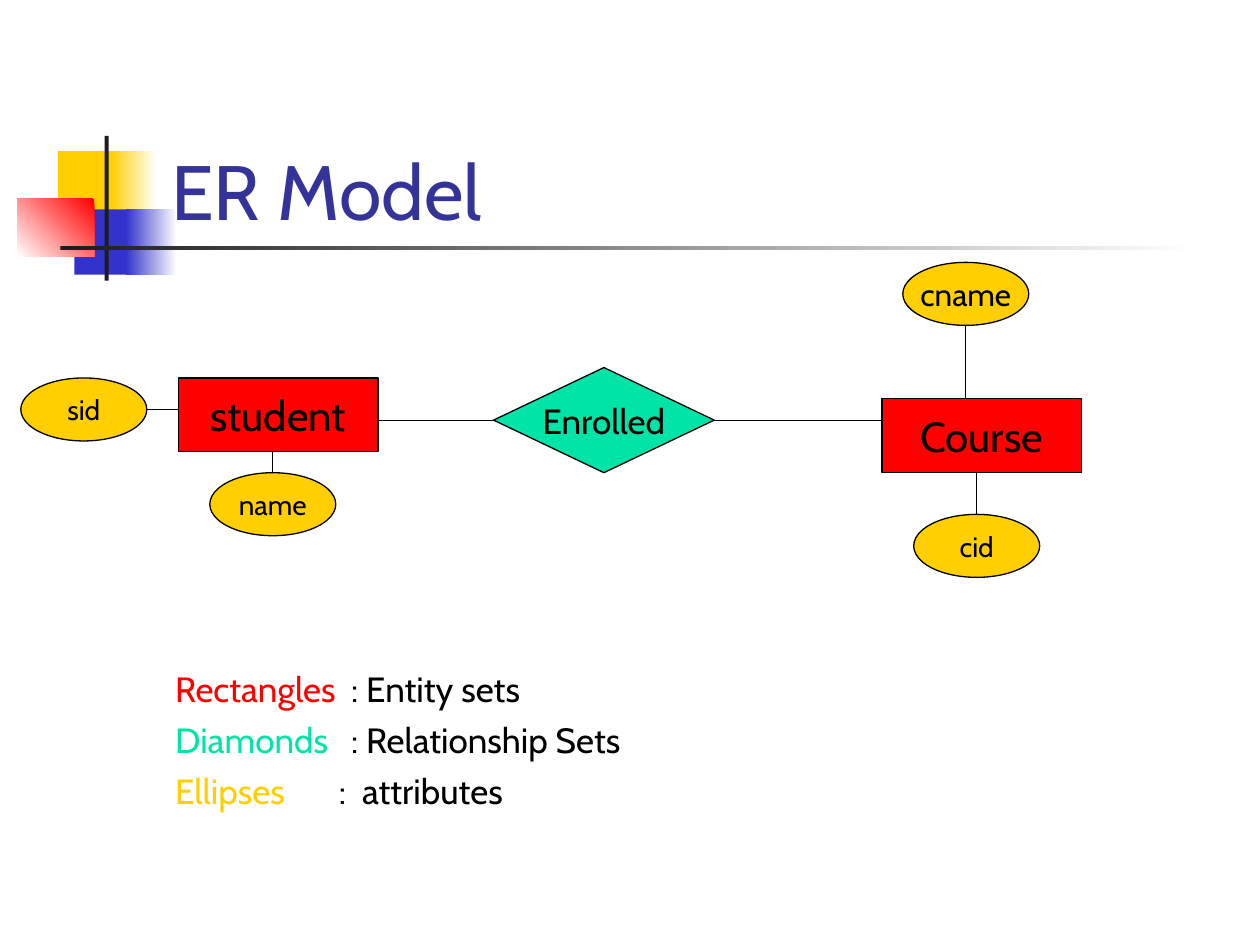
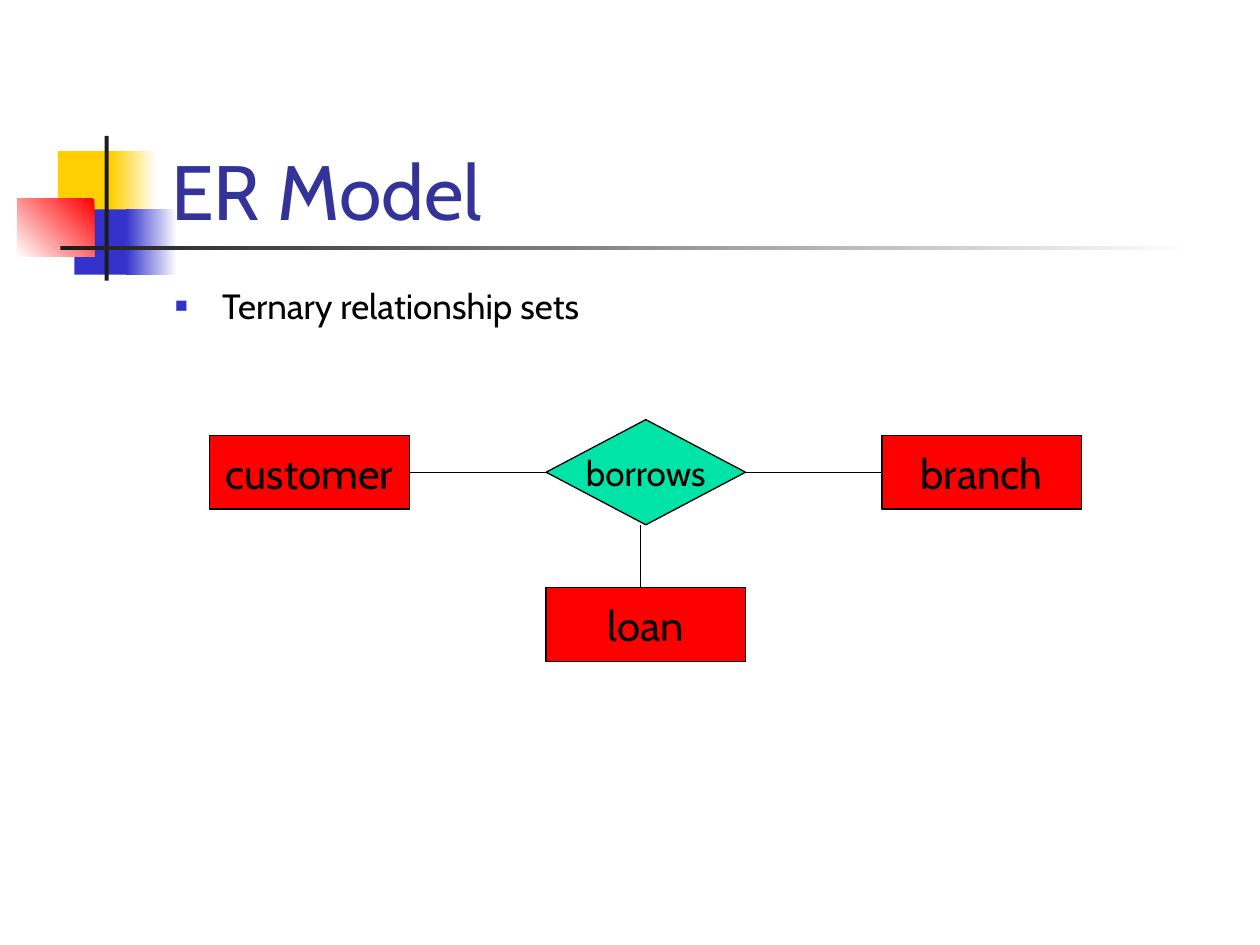
from dataclasses import dataclass

from lxml.etree import SubElement
from pptx import Presentation
from pptx.dml.color import RGBColor as RGB
from pptx.enum.shapes import MSO_CONNECTOR as Conn, MSO_SHAPE as Shp
from pptx.enum.text import MSO_ANCHOR as Anchor, PP_ALIGN as Align
from pptx.oxml.ns import qn
from pptx.util import Cm, Pt


@dataclass(frozen=True)
class Theme:
    font: str = "Cabin"
    black: RGB = RGB(0x00, 0x00, 0x00)
    white: RGB = RGB(0xFF, 0xFF, 0xFF)
    dark: RGB = RGB(0x1C, 0x1C, 0x1C)
    title: RGB = RGB(0x33, 0x33, 0x99)
    blue: RGB = RGB(0x33, 0x33, 0xCC)
    red: RGB = RGB(0xFF, 0x00, 0x00)
    green: RGB = RGB(0x00, 0xE4, 0xA8)
    yellow: RGB = RGB(0xFF, 0xCF, 0x01)
    title_size: int = 44
    entity_size: int = 24
    body_size: int = 20
    attribute_size: int = 16
    line_width: float = 0.75
    space_before: int = 5


class Deck:
    def __init__(self, theme):
        self.t = theme
        self.prs = Presentation()
        self.prs.slide_width, self.prs.slide_height = Cm(25.4), Cm(19.05)
        self.s = None

    def slide(self, title):
        self.s = self.prs.slides.add_slide(self.prs.slide_layouts[6])
        self.emblem()
        tf = self.text_box(3.2, 1.7, 21.64, 3.18)
        tf.vertical_anchor = Anchor.BOTTOM
        self.run(tf.paragraphs[0], title, self.t.title_size, self.t.title)

    def emblem(self):
        """Draw the coloured squares and the crossing bars beside the title."""
        t = self.t
        self.block(1.17, 3.05, 1.22, 1.32, t.yellow)
        self.block(2.24, 3.05, 0.91, 1.32, t.yellow, fade=0)
        self.block(1.5, 4.22, 1.17, 1.32, t.blue)
        self.block(2.54, 4.22, 1.02, 1.32, t.blue, fade=0)
        self.block(0.35, 4.01, 1.55, 1.17, t.red, fade=225)
        self.block(2.11, 2.74, 0.08, 2.92, t.dark)
        self.block(1.22, 4.95, 22.86, 0.09, t.dark, fade=0)

    def shape(self, kind, x, y, w, h):
        sp = self.s.shapes.add_shape(kind, Cm(x), Cm(y), Cm(w), Cm(h))
        sp.shadow.inherit = False
        return sp

    def block(self, x, y, w, h, color, fade=None):
        """Add a borderless rectangle; fade is the angle at which it turns white."""
        sp = self.shape(Shp.RECTANGLE, x, y, w, h)
        sp.line.fill.background()
        if fade is None:
            sp.fill.solid()
            sp.fill.fore_color.rgb = color
            return
        sp.fill.gradient()
        sp.fill.gradient_angle = fade
        for stop, rgb in zip(sp.fill.gradient_stops, (color, self.t.white)):
            stop.color.rgb = rgb

    def node(self, kind, x, y, w, h, label, size, color):
        sp = self.shape(kind, x, y, w, h)
        sp.fill.solid()
        sp.fill.fore_color.rgb = color
        sp.line.color.rgb = self.t.black
        sp.line.width = Pt(self.t.line_width)
        tf = sp.text_frame
        tf.word_wrap = False
        tf.vertical_anchor = Anchor.MIDDLE
        p = tf.paragraphs[0]
        p.alignment = Align.CENTER
        self.run(p, label, size, self.t.black)
        return sp

    def entity(self, x, y, label):
        return self.node(Shp.RECTANGLE, x, y, 4.02, 1.48, label,
                         self.t.entity_size, self.t.red)

    def relationship(self, x, y, w, label):
        return self.node(Shp.DIAMOND, x, y, w, 2.12, label,
                         self.t.body_size, self.t.green)

    def attribute(self, x, y, label, size=None):
        return self.node(Shp.OVAL, x, y, 2.54, 1.27, label,
                         size or self.t.attribute_size, self.t.yellow)

    def line(self, x1, y1, x2, y2, begin=None, end=None):
        """Add a straight line; begin and end are (shape, side) joints."""
        c = self.s.shapes.add_connector(Conn.STRAIGHT, Cm(x1), Cm(y1), Cm(x2), Cm(y2))
        c.line.color.rgb = self.t.black
        c.line.width = Pt(self.t.line_width)
        SubElement(c._element.spPr, qn("a:effectLst"))
        if begin:
            c.begin_connect(*begin)
        if end:
            c.end_connect(*end)

    def text_box(self, x, y, w, h):
        tf = self.s.shapes.add_textbox(Cm(x), Cm(y), Cm(w), Cm(h)).text_frame
        tf.word_wrap = True
        return tf

    def run(self, p, text, size, color):
        r = p.add_run()
        r.text = text
        r.font.name, r.font.size, r.font.color.rgb = self.t.font, Pt(size), color

    def legend(self, x, y, w, h, rows):
        """Add rows of (term, colour, meaning, tab stops in cm)."""
        tf = self.text_box(x, y, w, h)
        for i, (term, color, meaning, tabs) in enumerate(rows):
            p = tf.add_paragraph() if i else tf.paragraphs[0]
            p.space_before = Pt(self.t.space_before)
            tab_list = SubElement(p._p.get_or_add_pPr(), qn("a:tabLst"))
            for tab in tabs:
                SubElement(tab_list, qn("a:tab"), pos=str(Cm(tab)), algn="l")
            self.run(p, term, self.t.body_size, color)
            self.run(p, meaning, self.t.body_size, self.t.black)

    def bullet(self, x, y, w, h, text):
        p = self.text_box(x, y, w, h).paragraphs[0]
        p.space_before = Pt(self.t.space_before)
        pPr = p._p.get_or_add_pPr()
        pPr.set("marL", str(Cm(0.95)))
        pPr.set("indent", str(-Cm(0.95)))
        SubElement(SubElement(pPr, qn("a:buClr")), qn("a:srgbClr"), val=str(self.t.blue))
        SubElement(pPr, qn("a:buSzPct"), val="60000")
        SubElement(pPr, qn("a:buFont"), typeface="Arial")
        SubElement(pPr, qn("a:buChar"), char="■")
        self.run(p, text, self.t.body_size, self.t.black)


def binary_relationship(d):
    t = d.t
    d.slide("ER Model")
    d.legend(3.28, 13.34, 21.59, 3.71, [
        ("Rectangles", t.red, "\t: Entity sets", [3.55]),
        ("Diamonds", t.green, "\t: Relationship Sets", [3.55]),
        ("Ellipses", t.yellow, "\t:\tattributes", [3.3, 3.77]),
    ])
    enrolled = d.relationship(9.95, 7.41, 4.45, "Enrolled")
    d.entity(3.6, 7.62, "student")
    d.entity(17.78, 8.04, "Course")
    d.line(9.95, 8.47, 7.62, 8.47, begin=(enrolled, 1))
    d.line(14.4, 8.47, 17.78, 8.47, begin=(enrolled, 3))

    d.attribute(4.23, 9.53, "name")
    d.attribute(0.42, 7.62, "sid")
    d.attribute(18.42, 10.37, "cid")
    d.attribute(18.2, 5.29, "cname", 18)
    d.line(2.96, 8.26, 3.6, 8.26)
    d.line(5.5, 9.1, 5.5, 9.53)
    d.line(19.47, 6.56, 19.47, 8.04)
    d.line(19.69, 9.52, 19.69, 10.37)


def ternary_relationship(d):
    d.slide("ER Model")
    d.bullet(3.28, 5.61, 21.59, 11.43, "Ternary relationship sets")
    customer = d.entity(4.23, 8.78, "customer")
    borrows = d.relationship(11.01, 8.46, 4.02, "borrows")
    d.entity(11.01, 11.85, "loan")
    branch = d.entity(17.78, 8.78, "branch")
    d.line(8.25, 9.52, 11.01, 9.52, begin=(customer, 3), end=(borrows, 1))
    d.line(15.03, 9.52, 17.78, 9.52, begin=(borrows, 3), end=(branch, 1))
    d.line(12.91, 10.58, 12.91, 11.85)


def main():
    d = Deck(Theme())
    binary_relationship(d)
    ternary_relationship(d)
    d.prs.save("out.pptx")


if __name__ == "__main__":
    main()
